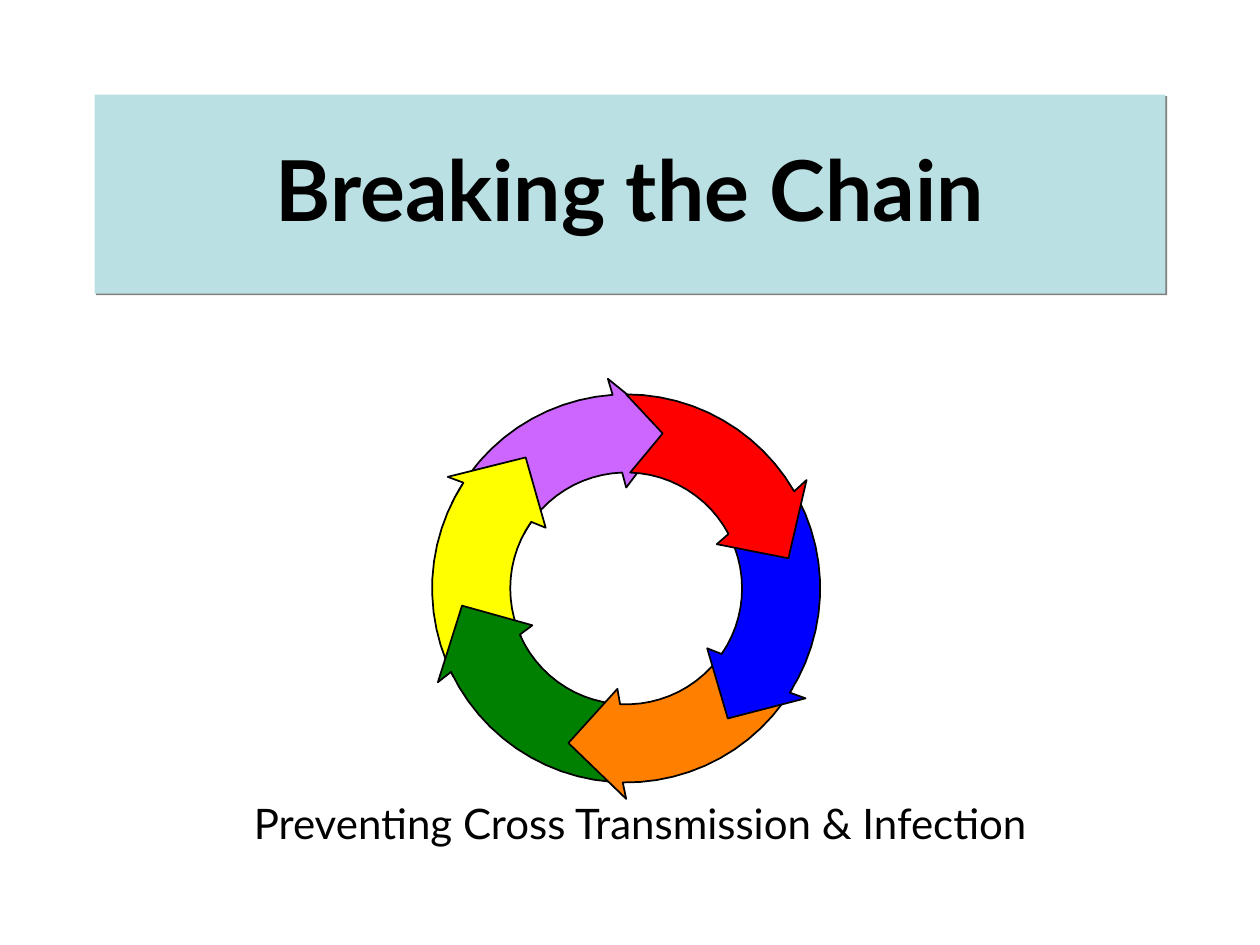
from dataclasses import dataclass
from math import cos, radians, sin
from typing import Any

from lxml import etree
from pptx import Presentation
from pptx.dml.color import RGBColor as RGB
from pptx.enum.text import MSO_ANCHOR as Anchor, MSO_AUTO_SIZE as AutoSize, PP_ALIGN as Align
from pptx.oxml.ns import qn
from pptx.util import Inches, Pt

COLORS = {
    "panel": "BBE0E3", "shadow": "808080", "text": "000000", "line": "000000",
    "purple": "CC66FF", "yellow": "FFFF00", "green": "008000",
    "orange": "FF8000", "blue": "0000FF", "red": "FF0000",
}
CENTER_X, CENTER_Y = 4.97, 4.67
OUTER, INNER = 1.54, 0.92
SWEEP, STEPS = 60, 12
ARROWS = [("purple", -64), ("yellow", 243), ("green", 184.5),
          ("orange", 121), ("blue", 62.5), ("red", 0)]


def ring_point(radius, angle):
    a = radians(angle)
    return CENTER_X + radius * sin(a), CENTER_Y - radius * cos(a)


def arrow_outline(tail):
    neck = tail + SWEEP
    angles = [tail + SWEEP * i / STEPS for i in range(STEPS + 1)]
    head = [(1.67, neck - 1), (1.31, neck + 19.5), (0.8, neck + 4)]
    polar = [(OUTER, a) for a in angles] + head
    polar += [(INNER, a + 2) for a in reversed(angles)]
    return [ring_point(r, a) for r, a in polar]


@dataclass
class SlideBuilder:
    slide: Any
    font: str = "Lato"

    def color(self, name):
        return RGB.from_string(COLORS[name])

    def placeholder(self, sp, box, text, size, bold=False, anchor=Anchor.TOP, spacing=1.0):
        sp.left, sp.top, sp.width, sp.height = map(Inches, box)
        tf = sp.text_frame
        tf.word_wrap = True
        tf.auto_size = AutoSize.NONE
        tf.vertical_anchor = anchor
        p = tf.paragraphs[0]
        p.alignment = Align.CENTER
        p.space_before = Pt(0)
        p.line_spacing = spacing
        r = p.add_run()
        r.text = text
        r.font.name, r.font.size, r.font.bold = self.font, Pt(size), bold
        r.font.color.rgb = self.color("text")
        return sp

    def panel(self, sp, fill):
        sp.fill.solid()
        sp.fill.fore_color.rgb = self.color(fill)
        sp.line.fill.background()
        sp.shadow.inherit = False
        effects = sp.element.spPr.find(qn("a:effectLst"))
        shadow = etree.SubElement(effects, qn("a:outerShdw"), dist=str(Pt(1.4)),
                                  dir="2700000", algn="ctr", rotWithShape="0")
        etree.SubElement(shadow, qn("a:srgbClr"), val=COLORS["shadow"])

    def outline(self, points, fill):
        points = [(Inches(x), Inches(y)) for x, y in points]
        builder = self.slide.shapes.build_freeform(*points[0], scale=1.0)
        builder.add_line_segments(points[1:], close=True)
        sp = builder.convert_to_shape()
        sp.shadow.inherit = False
        sp.fill.solid()
        sp.fill.fore_color.rgb = self.color(fill)
        sp.line.color.rgb = self.color("line")
        sp.line.width = Pt(1)


def main():
    prs = Presentation()
    prs.slide_width, prs.slide_height = Inches(10), Inches(7.5)
    s = prs.slides.add_slide(prs.slide_layouts[0])
    b = SlideBuilder(s)
    title = b.placeholder(s.shapes.title, (0.75, 0.75, 8.5, 1.58), "Breaking the Chain",
                          48, bold=True, anchor=Anchor.MIDDLE, spacing=0.9)
    b.panel(title, "panel")
    b.placeholder(s.placeholders[1], (0.62, 6.28, 8.92, 0.81),
                  "Preventing Cross Transmission & Infection", 24)
    purple_tip = (5.26, 3.44)
    for name, tail in ARROWS:
        points = arrow_outline(tail)
        if name == "red":
            points.append(purple_tip)
        b.outline(points, name)
    prs.save("out.pptx")


if __name__ == "__main__":
    main()
